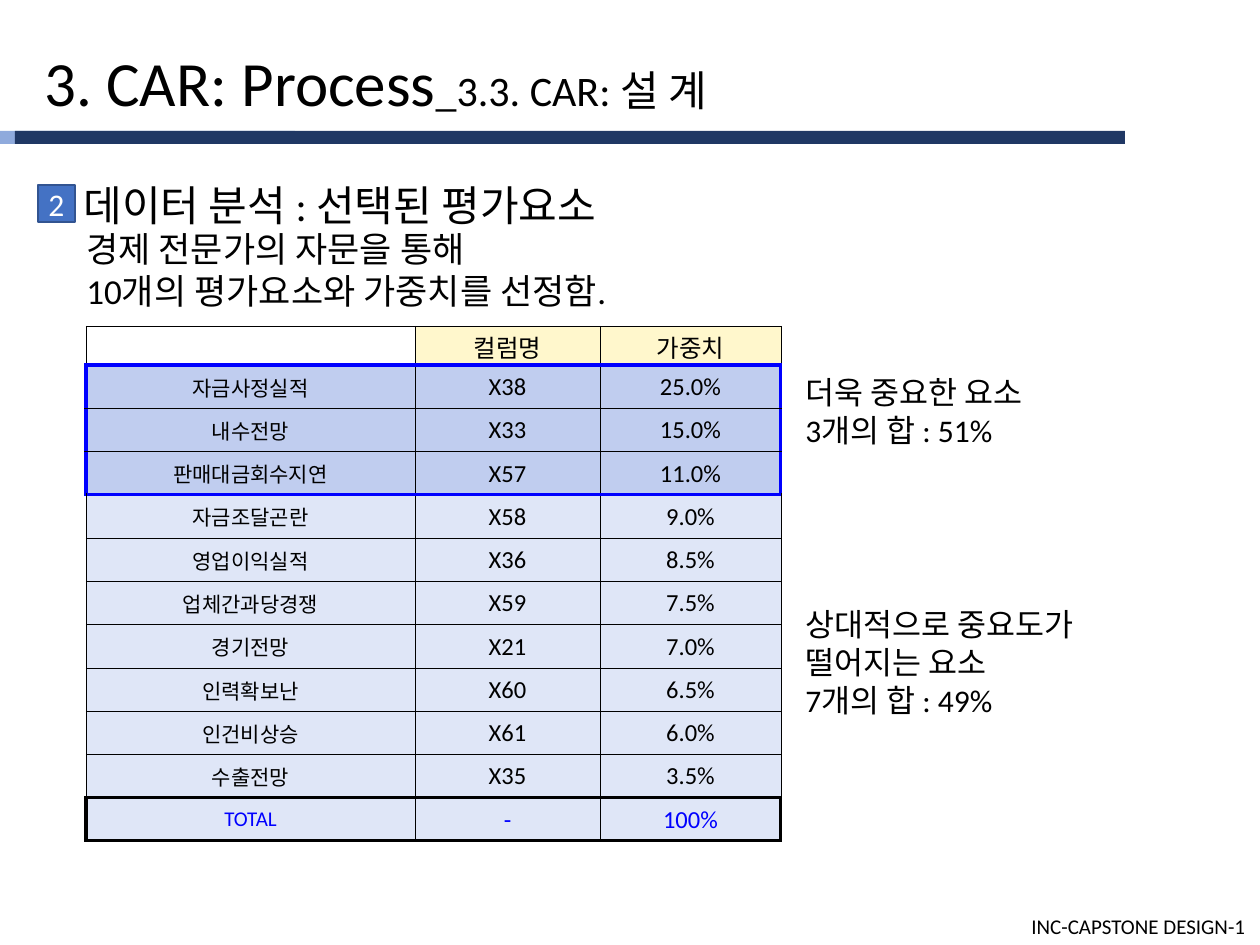
from dataclasses import dataclass

from lxml.etree import SubElement
from pptx import Presentation
from pptx.dml.color import RGBColor
from pptx.enum.shapes import MSO_SHAPE
from pptx.enum.text import MSO_ANCHOR, PP_ALIGN
from pptx.oxml.ns import qn
from pptx.util import Emu, Pt

EMU_PER_PX = 914400 / 126


@dataclass(frozen=True)
class Theme:
    font: str = "Calibri"
    black: str = "000000"
    white: str = "FFFFFF"
    blue: str = "0000FF"
    navy: str = "203864"
    light_navy: str = "8FAADC"
    badge: str = "4472C4"
    badge_line: str = "325491"
    header_fill: str = "FFF7CC"
    strong_fill: str = "C0CDEF"
    body_fill: str = "DFE6F7"
    title: int = 36
    heading: int = 24
    lead: int = 20
    note: int = 18
    cell: int = 14
    small: int = 12
    thin: float = 0.28
    thick: float = 2


def px(length):
    return Emu(round(length * EMU_PER_PX))


def add_text(paragraph, text, *, size, color=Theme.black, font=Theme.font,
             align=None, line_spacing=None):
    """Append a run; an empty text only sets the height of the empty line."""
    paragraph.alignment = align
    if line_spacing:
        paragraph.line_spacing = line_spacing
    if not text:
        SubElement(paragraph._p, qn("a:endParaRPr"), sz=str(size * 100))
        return
    run = paragraph.add_run()
    run.text = text
    run.font.name = font
    run.font.size = Pt(size)
    run.font.color.rgb = RGBColor.from_string(color)


class SlideBuilder:
    def __init__(self, slide, theme):
        self.slide = slide
        self.theme = theme

    def rectangle(self, left, top, width, height, fill, line=None):
        shape = self.slide.shapes.add_shape(
            MSO_SHAPE.RECTANGLE, px(left), px(top), px(width), px(height))
        shape.shadow.inherit = False
        shape.fill.solid()
        shape.fill.fore_color.rgb = RGBColor.from_string(fill)
        if line:
            shape.line.color.rgb = RGBColor.from_string(line)
            shape.line.width = Pt(1)
        else:
            shape.line.fill.background()
        return shape

    def badge(self, left, top, side, text):
        shape = self.rectangle(left, top, side, side, self.theme.badge,
                               self.theme.badge_line)
        frame = shape.text_frame
        frame.margin_left = frame.margin_right = 0
        frame.margin_top = frame.margin_bottom = 0
        frame.vertical_anchor = MSO_ANCHOR.MIDDLE
        add_text(frame.paragraphs[0], text, size=self.theme.note,
                 color=self.theme.white, align=PP_ALIGN.CENTER)

    def text_box(self, left, top, width, height, lines, wrap=True, indent=0):
        """Each line is a list of (text, size) runs."""
        box = self.slide.shapes.add_textbox(
            px(left), px(top), px(width), px(height))
        frame = box.text_frame
        frame.word_wrap = wrap
        frame.margin_left += px(indent)
        for index, runs in enumerate(lines):
            paragraph = frame.add_paragraph() if index else frame.paragraphs[0]
            for text, size in runs:
                add_text(paragraph, text, size=size)

    def border(self, cell, side, color, width):
        line = SubElement(cell._tc.get_or_add_tcPr(), qn(f"a:ln{side}"),
                          w=str(Pt(width)))
        fill = SubElement(line, qn("a:solidFill"))
        SubElement(fill, qn("a:srgbClr"), val=color)

    def edge(self, row, column, last_column, side, frames):
        """Colour and width of a cell side; frames are (first row, last row, colour)."""
        for first, last, color in frames:
            inside = first <= row <= last
            if ((side == "L" and inside and column == 0)
                    or (side == "R" and inside and column == last_column)
                    or (side == "T" and row in (first, last + 1))
                    or (side == "B" and row in (first - 1, last))):
                return color, self.theme.thick
        return self.theme.black, self.theme.thin

    def table(self, left, top, height, widths, header_height, rows,
              strong_rows):
        theme = self.theme
        total = len(rows) - 1
        frames = [(1, strong_rows, theme.blue), (total, total, theme.black)]
        table = self.slide.shapes.add_table(
            len(rows), len(widths), px(left), px(top),
            px(sum(widths)), px(height)).table
        table.first_row = table.horz_banding = False
        for column, width in zip(table.columns, widths):
            column.width = px(width)
        for number, values in enumerate(rows):
            table.rows[number].height = px(
                (height - header_height) / total if number else header_height)
            for column, text in enumerate(values):
                cell = table.cell(number, column)
                for side in "LRTB":
                    self.border(cell, side, *self.edge(
                        number, column, len(widths) - 1, side, frames))
                if number == 0:
                    fill = theme.header_fill if text else None
                else:
                    fill = (theme.strong_fill if number <= strong_rows
                            else theme.body_fill)
                if fill:
                    cell.fill.solid()
                    cell.fill.fore_color.rgb = RGBColor.from_string(fill)
                else:
                    cell.fill.background()
                cell.vertical_anchor = MSO_ANCHOR.MIDDLE
                cell.margin_left = cell.margin_right = px(9)
                cell.margin_top = cell.margin_bottom = px(2)
                add_text(cell.text_frame.paragraphs[0], text,
                         size=theme.cell if column else theme.small,
                         color=theme.blue if number == total else theme.black,
                         align=PP_ALIGN.CENTER, line_spacing=1.03)


FACTORS = [
    ("", "컬럼명", "가중치"),
    ("자금사정실적", "X38", "25.0%"),
    ("내수전망", "X33", "15.0%"),
    ("판매대금회수지연", "X57", "11.0%"),
    ("자금조달곤란", "X58", "9.0%"),
    ("영업이익실적", "X36", "8.5%"),
    ("업체간과당경쟁", "X59", "7.5%"),
    ("경기전망", "X21", "7.0%"),
    ("인력확보난", "X60", "6.5%"),
    ("인건비상승", "X61", "6.0%"),
    ("수출전망", "X35", "3.5%"),
    ("TOTAL", "-", "100%"),
]


def main():
    presentation = Presentation()
    presentation.slide_width = px(1260)
    presentation.slide_height = px(945)
    theme = Theme()
    slide = presentation.slides.add_slide(presentation.slide_layouts[6])
    builder = SlideBuilder(slide, theme)

    builder.rectangle(0, 131, 295, 13, theme.light_navy)
    builder.rectangle(15, 131, 1110, 13, theme.navy)
    builder.text_box(1019, 907, 241, 38,
                     [[("INC-CAPSTONE DESIGN-1", theme.small)]])
    builder.text_box(32, 37, 1200, 140, [[("3. CAR: Process", theme.title),
                                         ("_3.3. CAR: 설 계", theme.heading)]])
    builder.text_box(74, 221, 1017, 97,
                     [[("경제 전문가의 자문을 통해", theme.lead)],
                      [("10개의 평가요소와 가중치를 선정함.", theme.lead)]])
    builder.text_box(33, 173, 1189, 63,
                     [[("데이터 분석 : 선택된 평가요소", theme.heading)]], indent=38)
    builder.badge(38, 185, 37, "2")
    builder.table(86, 326, 515, [329, 185, 181], 39, FACTORS, strong_rows=3)
    builder.text_box(793, 367, 262, 89,
                     [[("더욱 중요한 요소", theme.note)],
                      [("3개의 합 : 51%", theme.note)]], wrap=False)
    builder.text_box(793, 599, 319, 127,
                     [[("상대적으로 중요도가", theme.note)],
                      [("떨어지는 요소", theme.note)],
                      [("7개의 합 : 49%", theme.note)]], wrap=False)
    presentation.save("out.pptx")


if __name__ == "__main__":
    main()
